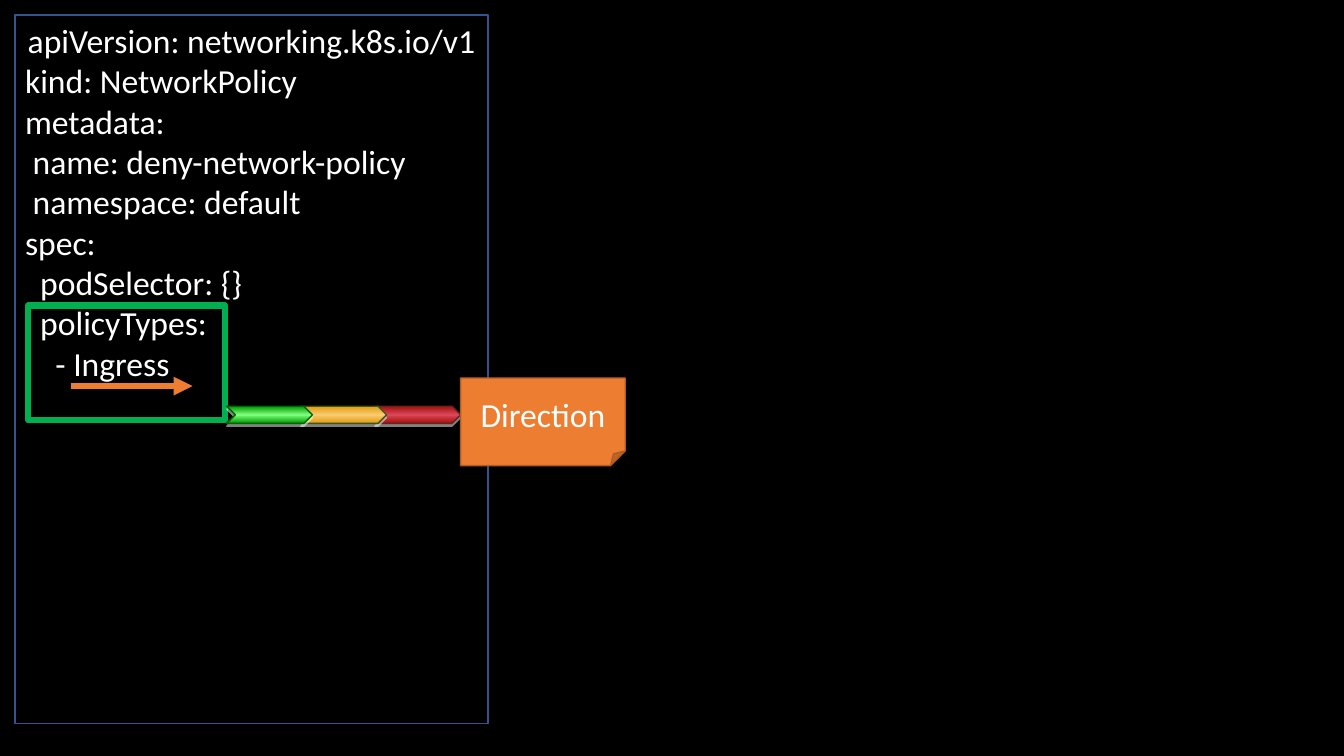
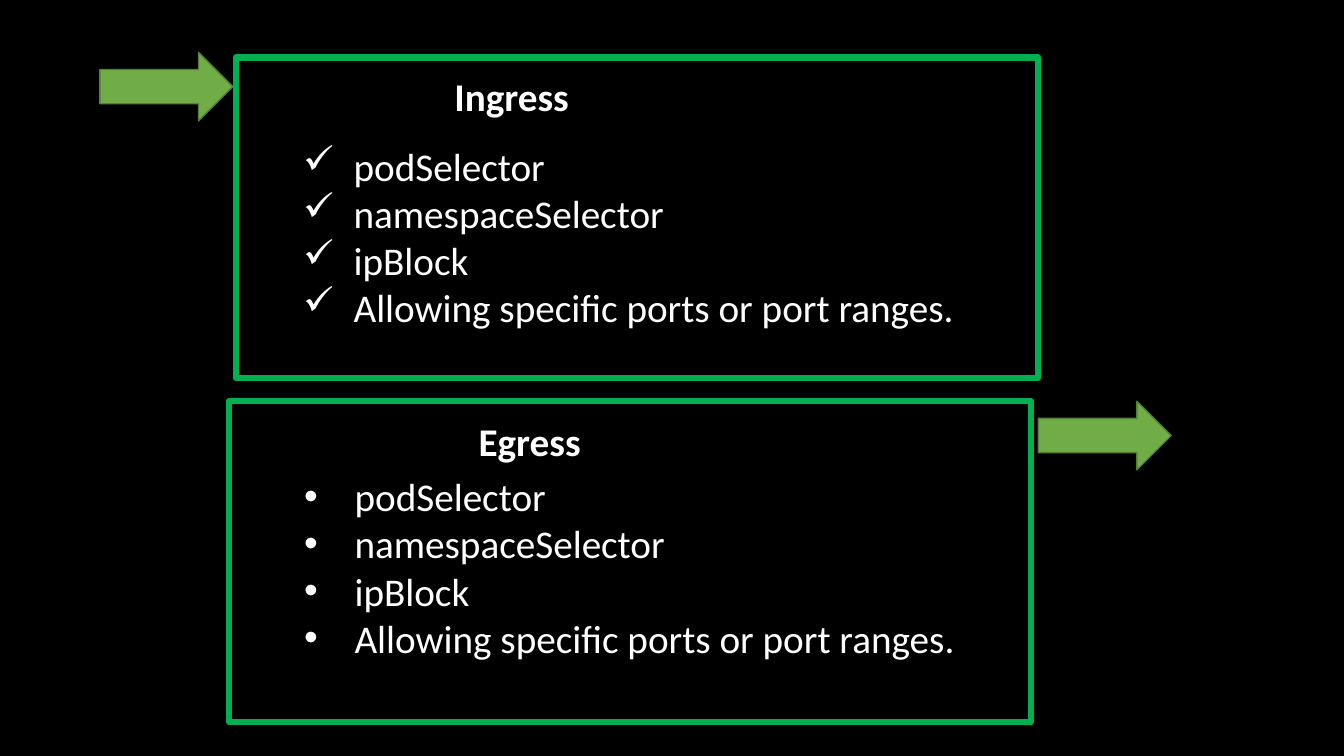
from lxml import etree
from pptx import Presentation
from pptx.dml.color import RGBColor
from pptx.enum.shapes import MSO_CONNECTOR, MSO_SHAPE
from pptx.enum.text import MSO_ANCHOR, PP_ALIGN
from pptx.oxml.ns import qn
from pptx.util import Pt

RECTANGLE, CHEVRON = MSO_SHAPE.RECTANGLE, MSO_SHAPE.CHEVRON
FOLDED_CORNER, RIGHT_ARROW = MSO_SHAPE.FOLDED_CORNER, MSO_SHAPE.RIGHT_ARROW
STRAIGHT = MSO_CONNECTOR.STRAIGHT
LEFT, CENTER = PP_ALIGN.LEFT, PP_ALIGN.CENTER
TOP, MIDDLE = MSO_ANCHOR.TOP, MSO_ANCHOR.MIDDLE

FONT = "Calibri"
COLORS = {
    "background": "000000",
    "text": "FFFFFF",
    "code_border": "325491",
    "frame": "00B050",
    "note": "ED7D31",
    "note_border": "AF5C24",
    "arrow": "70AD47",
    "arrow_border": "538035",
}
CHEVRON_STYLES = [
    ("A61108", "DA465B", "632523"),
    ("E49B0A", "F8CB71", "385723"),
    ("009800", "7DFF7D", "006600"),
]
POLICY_LINES = [
    "apiVersion: networking.k8s.io/v1",
    "kind: NetworkPolicy",
    "metadata:",
    " name: deny-network-policy",
    " namespace: default",
    "spec:",
    "  podSelector: {}",
    "  policyTypes:",
    "    - Ingress",
]
RULES = [
    "podSelector",
    "namespaceSelector",
    "ipBlock",
    "Allowing specific ports or port ranges.",
]


def rgb(value):
    return RGBColor.from_string(value)


def add_page(deck):
    page = deck.slides.add_slide(deck.slide_layouts[6])
    fill = page.background.fill
    fill.solid()
    fill.fore_color.rgb = rgb(COLORS["background"])
    return page


def add_figure(shapes, kind, box, line, width=1, fill=None):
    figure = shapes.add_shape(kind, *map(Pt, box))
    figure.shadow.inherit = False
    figure.line.color.rgb = rgb(line)
    figure.line.width = Pt(width)
    if fill:
        figure.fill.solid()
        figure.fill.fore_color.rgb = rgb(fill)
    else:
        figure.fill.background()
    return figure


def add_bullet(para, bullet, indent):
    properties = para._p.get_or_add_pPr()
    properties.set("marL", str(Pt(indent)))
    properties.set("indent", str(-Pt(indent)))
    if bullet == "•":
        etree.SubElement(properties, qn("a:buFont")).set("typeface", "Arial")
    etree.SubElement(properties, qn("a:buChar")).set("char", bullet)


def write(frame, lines, size=24, bold=False, align=LEFT, anchor=TOP, bullet=None):
    frame.word_wrap = True
    frame.vertical_anchor = anchor
    for index, text in enumerate(lines):
        para = frame.add_paragraph() if index else frame.paragraphs[0]
        para.alignment = align
        if bullet:
            add_bullet(para, bullet, indent=36)
        span = para.add_run()
        span.text = text
        span.font.name = FONT
        span.font.size = Pt(size)
        span.font.bold = bold
        span.font.color.rgb = rgb(COLORS["text"])


def add_text(page, box, lines, **text_format):
    write(page.shapes.add_textbox(*map(Pt, box)).text_frame, lines, **text_format)


def shade_chevron(chevron, edge, middle):
    fill = chevron.fill
    fill.gradient()
    fill.gradient_angle = 90
    for stop, color, position in zip(fill.gradient_stops, (edge, middle), (0, 0.5)):
        stop.color.rgb = rgb(color)
        stop.position = position
    properties = chevron._element.spPr
    stops = properties.find(qn("a:gradFill")).find(qn("a:gsLst"))
    last = etree.SubElement(stops, qn("a:gs"), pos="100000")
    etree.SubElement(last, qn("a:srgbClr"), val=edge)
    effects = properties.find(qn("a:effectLst"))
    shadow = etree.SubElement(effects, qn("a:outerShdw"), blurRad="0",
                              dist=str(Pt(2)), dir="5400000", rotWithShape="0")
    color = etree.SubElement(shadow, qn("a:srgbClr"), val=COLORS["text"])
    etree.SubElement(color, qn("a:alpha"), val="50000")


def add_chevron_strip(page, box):
    left, top, width, height = box
    chevron_width = 61.2
    step = (width - chevron_width) / (len(CHEVRON_STYLES) - 1)
    group = page.shapes.add_group_shape()
    for index, (edge, middle, line) in enumerate(CHEVRON_STYLES):
        x = left + width - chevron_width - index * step
        chevron = add_figure(group.shapes, CHEVRON, (x, top, chevron_width, height), line)
        shade_chevron(chevron, edge, middle)


def add_underline_arrow(page, left, top, length):
    arrow = page.shapes.add_connector(STRAIGHT, Pt(left), Pt(top), Pt(left + length), Pt(top))
    arrow.line.color.rgb = rgb(COLORS["note"])
    arrow.line.width = Pt(4.5)
    etree.SubElement(arrow.line._get_or_add_ln(), qn("a:tailEnd"), type="triangle")
    etree.SubElement(arrow._element.spPr, qn("a:effectLst"))


def add_policy(page, box):
    left, top = box[:2]
    panel = add_figure(page.shapes, RECTANGLE, box, COLORS["code_border"])
    write(panel.text_frame, POLICY_LINES)
    panel.text_frame.paragraphs[0].alignment = CENTER
    add_figure(page.shapes, RECTANGLE, (left + 9.4, top + 207.4, 140.4, 82),
               COLORS["frame"], width=4.5)
    add_chevron_strip(page, (left + 151.2, top + 279.4, 167, 12.2))
    note = add_figure(page.shapes, FOLDED_CORNER, (left + 318.2, top + 259.2, 117.6, 62.6),
                      COLORS["note_border"], fill=COLORS["note"])
    write(note.text_frame, ["Direction"], align=CENTER, anchor=MIDDLE)
    add_underline_arrow(page, left + 39.6, top + 265, 87.1)


def add_traffic_panel(page, box, heading, bullet, heading_at, list_at, arrow_at):
    left, top = box[:2]

    def place(offset, width, height):
        return left + offset[0], top + offset[1], width, height

    add_figure(page.shapes, RECTANGLE, box, COLORS["frame"], width=4.5)
    add_text(page, place(heading_at, 116, 41), [heading], size=28, bold=True)
    add_text(page, place(list_at, 514, 143.3), RULES, size=28, bullet=bullet)
    add_figure(page.shapes, RIGHT_ARROW, place(arrow_at, 95, 49),
               COLORS["arrow_border"], fill=COLORS["arrow"])


def main():
    deck = Presentation()
    deck.slide_width, deck.slide_height = Pt(960), Pt(540)

    add_policy(add_page(deck), (10.8, 10.8, 337.7, 506.2))

    traffic = add_page(deck)
    add_traffic_panel(traffic, (168.5, 41, 573.1, 229), "Ingress", "✓",
                      heading_at=(149, 7.2), list_at=(41, 57), arrow_at=(-97.2, -3.6))
    add_traffic_panel(traffic, (163.4, 286.6, 573.1, 229), "Egress", "•",
                      heading_at=(171.4, 7.9), list_at=(46.8, 47.5), arrow_at=(578.2, 0))

    deck.save("out.pptx")


if __name__ == "__main__":
    main()
